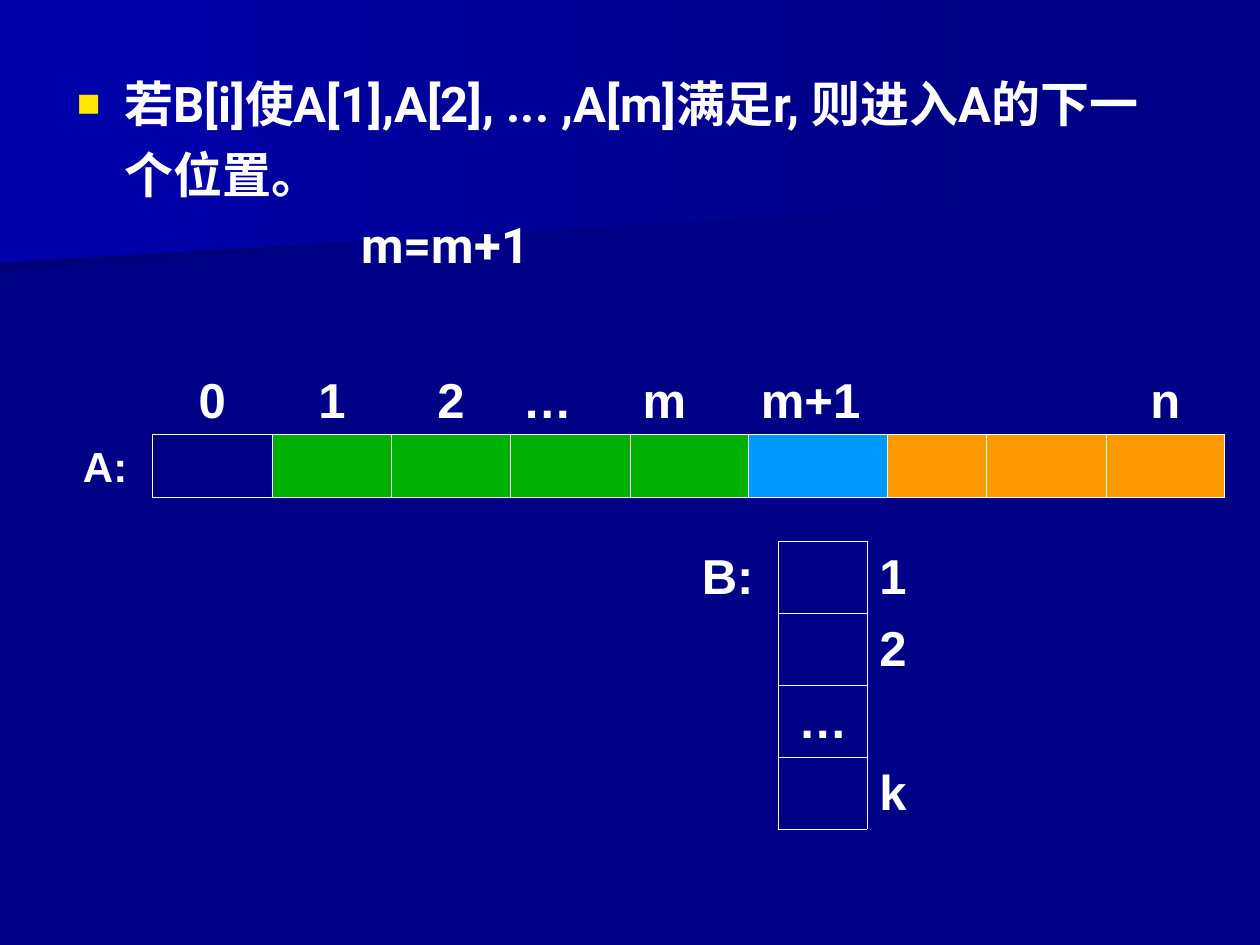
from dataclasses import dataclass
from typing import Optional

from lxml.etree import SubElement as Sub
from pptx import Presentation
from pptx.dml.color import RGBColor as Rgb
from pptx.enum.text import MSO_ANCHOR as Anchor, MSO_AUTO_SIZE as Fit, PP_ALIGN as Align
from pptx.oxml.ns import qn
from pptx.util import Inches, Pt


@dataclass(frozen=True)
class Theme:
    back: str = "000086"
    dark: str = "00007D"
    glow: str = "0000AC"
    text: str = "FFFFFF"
    mark: str = "FFE701"
    done: str = "00B000"
    next: str = "0099FF"
    rest: str = "FF9900"
    body: str = "Roboto"
    grid: str = "Arial"
    big: int = 28
    small: int = 24
    rule: float = 0.45


@dataclass(frozen=True)
class Cell:
    text: str = ""
    box: bool = False
    fill: Optional[str] = None
    size: int = Theme.big
    align: Align = Align.LEFT
    pad: float = 1


@dataclass(frozen=True)
class Grid:
    left: float
    top: float
    cols: list[float]
    rows: list[float]
    cells: list[list[Cell]]
    anchor: Anchor


@dataclass(frozen=True)
class Band:
    points: list[tuple[float, float]]
    end: str


LOOK = Theme()
WIDE, HIGH = Inches(10), Inches(7.5)
COL, ROW = WIDE / 100, HIGH / 75
PLAIN = "{2D5ABB26-0587-4C30-8999-92F81FD0307C}"
SIDES = {"lnL": (0, -1), "lnR": (0, 1), "lnT": (-1, 0), "lnB": (1, 0)}

BANDS = [
    Band([(77.8, 15.3), (0, 21.7), (0, 10.1), (77.9, 10.1), (77.8, 12.8)], LOOK.dark),
    Band([(79.2, 16.2), (0, 20.8), (0, 0), (79.2, 0)], LOOK.glow),
]


def mid(text: str) -> Cell:
    return Cell(text, align=Align.CENTER)


def boxes(fill: str, count: int) -> list[Cell]:
    return [Cell(box=True, fill=fill)] * count


LIST = Grid(
    2.7, 28.8, [9.4, 9.5, 9.5, 9.4, 9.5, 9.4, 11, 7.9, 9.5, 9.4], [5.7, 5],
    [
        [Cell(), mid("0"), mid("1"), mid("2"), Cell("…"), Cell("m"),
         Cell("m+1"), Cell(), Cell(), mid("n")],
        [Cell("A:", size=LOOK.small, align=Align.RIGHT, pad=2), Cell(box=True),
         *boxes(LOOK.done, 4), *boxes(LOOK.next, 1), *boxes(LOOK.rest, 3)],
    ],
    Anchor.BOTTOM,
)
STACK = Grid(
    54.7, 43, [7.1, 7, 6], [5.7] * 4,
    [
        [Cell("B:"), Cell(box=True), Cell("1")],
        [Cell(), Cell(box=True), Cell("2")],
        [Cell(), Cell("…", box=True, align=Align.CENTER), Cell()],
        [Cell(), Cell(box=True), Cell("k")],
    ],
    Anchor.MIDDLE,
)


def add_run(para, text: str, face: str, size: int) -> None:
    run = para.add_run()
    run.text = text
    run.font.name, run.font.size, run.font.bold = face, Pt(size), True
    run.font.color.rgb = Rgb.from_string(LOOK.text)


def draw_band(slide, band: Band) -> None:
    points = [(x * COL, y * ROW) for x, y in band.points]
    path = slide.shapes.build_freeform(*points[0])
    path.add_line_segments(points[1:])
    shape = path.convert_to_shape()
    shape.shadow.inherit = False
    shape.line.fill.background()
    shape.fill.gradient()
    shape.fill.gradient_angle = 180
    for stop, hue in zip(shape.fill.gradient_stops, (LOOK.back, band.end)):
        stop.color.rgb = Rgb.from_string(hue)


def is_box(grid: Grid, row: int, col: int) -> bool:
    inside = 0 <= row < len(grid.rows) and 0 <= col < len(grid.cols)
    return inside and grid.cells[row][col].box


def draw_edge(cell, side: str, shown: bool) -> None:
    edge = Sub(cell._tc.get_or_add_tcPr(), qn(f"a:{side}"), w=str(Pt(LOOK.rule)))
    if shown:
        fill = Sub(edge, qn("a:solidFill"))
        Sub(fill, qn("a:srgbClr"), val=LOOK.text)
    else:
        Sub(edge, qn("a:noFill"))


def draw_cell(cell, data: Cell, anchor: Anchor) -> None:
    if data.fill:
        cell.fill.solid()
        cell.fill.fore_color.rgb = Rgb.from_string(data.fill)
    else:
        cell.fill.background()
    cell.vertical_anchor = anchor
    cell.margin_right = int(data.pad * COL)
    if data.text:
        para = cell.text_frame.paragraphs[0]
        para.alignment = data.align
        add_run(para, data.text, LOOK.grid, data.size)


def draw_grid(slide, grid: Grid) -> None:
    frame = slide.shapes.add_table(
        len(grid.rows), len(grid.cols), int(grid.left * COL), int(grid.top * ROW),
        int(sum(grid.cols) * COL), int(sum(grid.rows) * ROW))
    table = frame.table
    table.first_row = table.horz_banding = False
    table._tbl.tblPr.find(qn("a:tableStyleId")).text = PLAIN
    for col, width in zip(table.columns, grid.cols):
        col.width = int(width * COL)
    for row, height in zip(table.rows, grid.rows):
        row.height = int(height * ROW)
    for r, line in enumerate(grid.cells):
        for c, data in enumerate(line):
            cell = table.cell(r, c)
            for side, (down, over) in SIDES.items():
                draw_edge(cell, side, data.box or is_box(grid, r + down, c + over))
            draw_cell(cell, data, grid.anchor)


def draw_body(slide) -> None:
    body = slide.placeholders[1]
    slide.shapes._spTree.append(body._element)
    body.left, body.top = int(5.1 * COL), int(4.4 * ROW)
    body.width, body.height = int(90 * COL), int(19.2 * ROW)
    frame = body.text_frame
    frame.word_wrap, frame.auto_size = True, Fit.NONE
    para = frame.paragraphs[0]
    para.line_spacing, para.space_before = 1.2, Pt(0)
    props = para._p.get_or_add_pPr()
    props.set("marL", str(int(3.8 * COL)))
    props.set("indent", str(int(-3.8 * COL)))
    hue = Sub(props, qn("a:buClr"))
    Sub(hue, qn("a:srgbClr"), val=LOOK.mark)
    Sub(props, qn("a:buSzPct"), val="80000")
    Sub(props, qn("a:buFont"), typeface=LOOK.grid)
    Sub(props, qn("a:buChar"), char="■")
    tabs = Sub(props, qn("a:tabLst"))
    Sub(tabs, qn("a:tab"), pos=str(int(22.6 * COL)), algn="l")
    add_run(para, "若B[i]使A[1],A[2], ... ,A[m]满足r, 则进入A的下一个位置。", LOOK.body, LOOK.big)
    para.add_line_break()
    add_run(para, "\tm=m+1", LOOK.body, LOOK.big)


def main() -> None:
    deck = Presentation()
    deck.slide_width, deck.slide_height = WIDE, HIGH
    slide = deck.slides.add_slide(deck.slide_layouts[1])
    title = slide.shapes.title._element
    title.getparent().remove(title)
    slide.background.fill.solid()
    slide.background.fill.fore_color.rgb = Rgb.from_string(LOOK.back)
    for band in BANDS:
        draw_band(slide, band)
    draw_body(slide)
    for grid in (LIST, STACK):
        draw_grid(slide, grid)
    deck.save("out.pptx")


if __name__ == "__main__":
    main()
